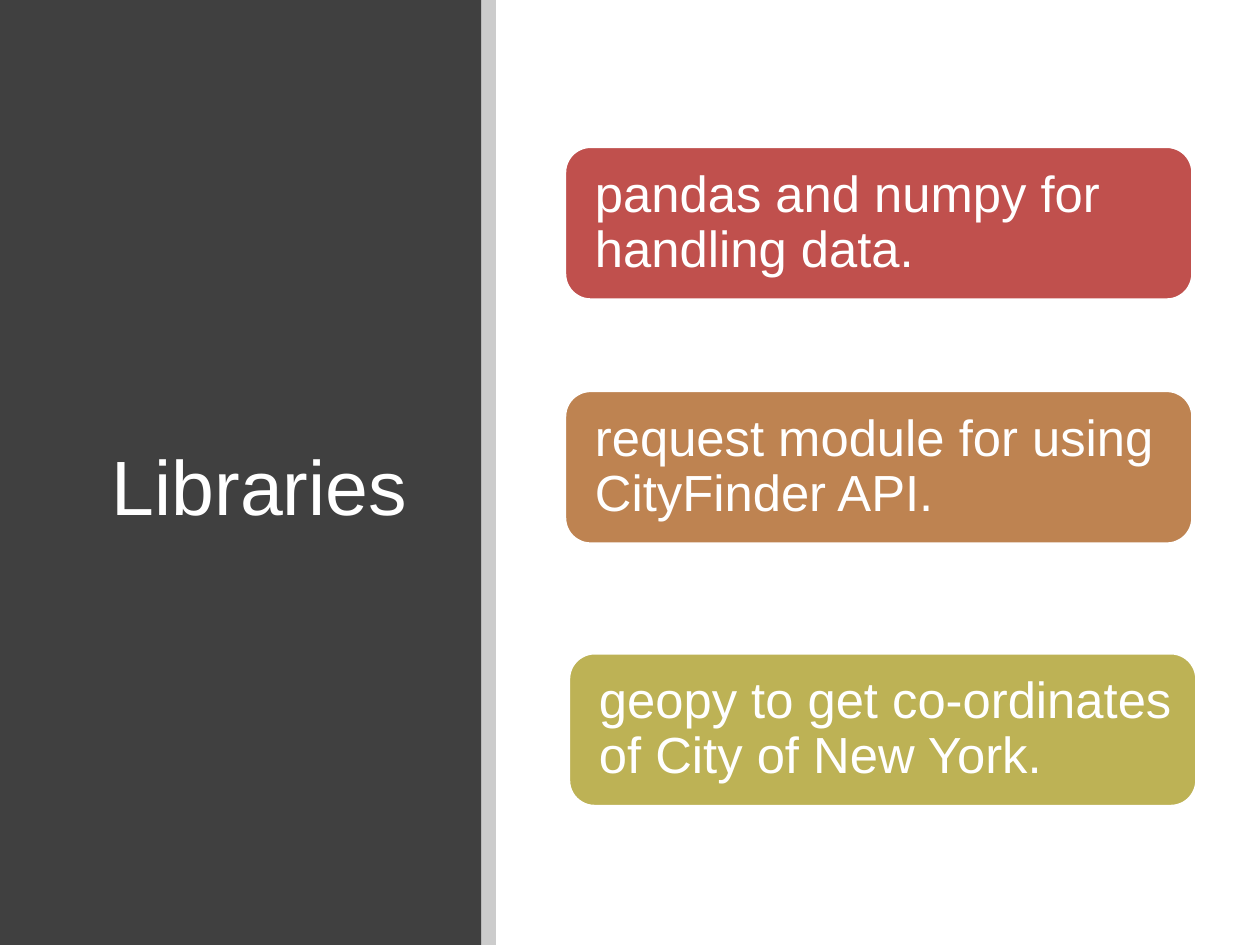
"""Build the Libraries slide: a dark title panel beside three rounded cards."""
from dataclasses import dataclass

import lxml.etree
import pptx
import pptx.dml.color
import pptx.enum.shapes
import pptx.enum.text
import pptx.oxml.ns
import pptx.shapes.autoshape
import pptx.slide
import pptx.text.text
import pptx.util
from pptx.util import Cm

COLORS = {
    "panel": "404040",
    "stripe": "000000",
    "white": "FFFFFF",
    "red": "C0504D",
    "orange": "BE8351",
    "olive": "BDB255",
}
FONT = "Arial"
SLIDE_WIDTH, SLIDE_HEIGHT = 25.4, 19.05
PANEL_WIDTH, STRIPE_WIDTH = 9.7, 0.3
CARD_WIDTH, CARD_HEIGHT = 12.67, 3.1


@dataclass(frozen=True)
class Card:
    left: float
    top: float
    color: str
    text: str


CARDS = (
    Card(11.38, 2.95, "red", "pandas and numpy for handling data."),
    Card(11.38, 7.87, "orange", "request module for using CityFinder API."),
    Card(11.46, 13.16, "olive", "geopy to get co-ordinates of City of New York."),
)


def rgb(name: str) -> pptx.dml.color.RGBColor:
    return pptx.dml.color.RGBColor.from_string(COLORS[name])


def add_white_run(paragraph: pptx.text.text._Paragraph, text: str, size: float) -> None:
    run = paragraph.add_run()
    run.text = text
    run.font.name = FONT
    run.font.size = pptx.util.Pt(size)
    run.font.color.rgb = rgb("white")


def add_filled_shape(
    slide: pptx.slide.Slide,
    kind: pptx.enum.shapes.MSO_SHAPE,
    box: tuple[float, float, float, float],
    color: str,
) -> pptx.shapes.autoshape.Shape:
    shape = slide.shapes.add_shape(kind, *(Cm(length) for length in box))
    shape.shadow.inherit = False
    shape.fill.solid()
    shape.fill.fore_color.rgb = rgb(color)
    shape.line.fill.background()
    return shape


def add_panel(slide: pptx.slide.Slide) -> None:
    rectangle = pptx.enum.shapes.MSO_SHAPE.RECTANGLE
    add_filled_shape(slide, rectangle, (0, 0, PANEL_WIDTH, SLIDE_HEIGHT), "panel")
    stripe = add_filled_shape(
        slide, rectangle, (PANEL_WIDTH, 0, STRIPE_WIDTH, SLIDE_HEIGHT), "stripe"
    )
    tint = stripe.fill._xPr.find(".//" + pptx.oxml.ns.qn("a:srgbClr"))
    lxml.etree.SubElement(tint, pptx.oxml.ns.qn("a:alpha"), val="20000")


def set_title(slide: pptx.slide.Slide, text: str) -> None:
    title = slide.shapes.title
    title.left, title.top, title.width, title.height = (
        Cm(1.75), Cm(2.26), Cm(6.96), Cm(15.01)
    )
    frame = title.text_frame
    frame.word_wrap = True
    frame.vertical_anchor = pptx.enum.text.MSO_ANCHOR.MIDDLE
    heading = frame.paragraphs[0]
    heading.alignment = pptx.enum.text.PP_ALIGN.CENTER
    add_white_run(heading, text, 44)
    slide.shapes._spTree.append(title._element)


def add_card(slide: pptx.slide.Slide, card: Card) -> None:
    shape = add_filled_shape(
        slide,
        pptx.enum.shapes.MSO_SHAPE.ROUNDED_RECTANGLE,
        (card.left, card.top, CARD_WIDTH, CARD_HEIGHT),
        card.color,
    )
    shape.adjustments[0] = 0.17
    shape.line.color.rgb = rgb("white")
    shape.line.width = pptx.util.Pt(2)
    frame = shape.text_frame
    frame.word_wrap = True
    frame.vertical_anchor = pptx.enum.text.MSO_ANCHOR.MIDDLE
    frame.margin_left = frame.margin_top = frame.margin_bottom = Cm(0.46)
    frame.margin_right = Cm(0.3)
    sentence = frame.paragraphs[0]
    sentence.alignment = pptx.enum.text.PP_ALIGN.LEFT
    sentence.line_spacing = 0.9
    sentence.space_after = pptx.util.Pt(10.2)
    add_white_run(sentence, card.text, 29)


def main() -> None:
    deck = pptx.Presentation()
    deck.slide_width, deck.slide_height = Cm(SLIDE_WIDTH), Cm(SLIDE_HEIGHT)
    slide = deck.slides.add_slide(deck.slide_layouts.get_by_name("Title Only"))
    add_panel(slide)
    set_title(slide, "Libraries")
    for card in CARDS:
        add_card(slide, card)
    deck.save("out.pptx")


if __name__ == "__main__":
    main()
